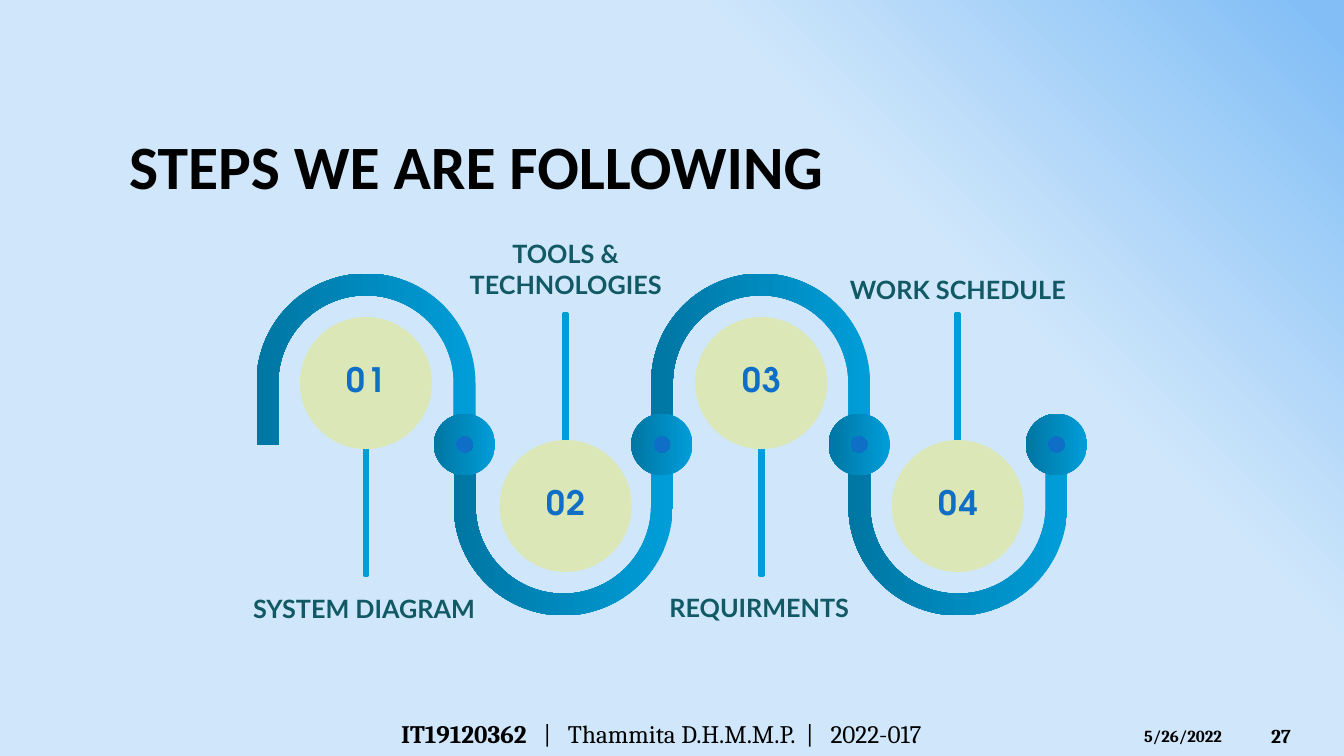
from math import cos, pi, sin

from pptx import Presentation
from pptx.dml.color import RGBColor
from pptx.enum.shapes import MSO_SHAPE as Shape
from pptx.enum.text import MSO_ANCHOR as Anchor, PP_ALIGN as Align
from pptx.util import Inches, Pt

COLORS = {
    "sky": "D0E7FB",
    "sky_deep": "83BFF6",
    "black": "000000",
    "pipe_light": "009DD9",
    "pipe_dark": "0076A3",
    "blue": "0F6FC6",
    "badge": "DBE7B6",
    "label": "115964",
}

# Geometry of the winding path
MIDDLE = 4.41
FIRST_CENTRE = 3.63
PITCH = 1.957
LEG = 0.61
OUTER, INNER = 1.086, 0.87
BADGE_SIZE = 1.31

# Badge centre, number, label, label centre, label top, label height
STEPS = [
    (3.63, "01", "SYSTEM DIAGRAM", 3.61, 5.84, 0.38),
    (5.61, "02", "TOOLS & TECHNOLOGIES", 5.61, 2.32, 0.66),
    (7.55, "03", "REQUIRMENTS", 7.53, 5.83, 0.38),
    (9.5, "04", "WORK SCHEDULE", 9.5, 2.67, 0.38),
]


def color(name):
    return RGBColor.from_string(COLORS[name])


def set_gradient(fill, stops, angle):
    fill.gradient()
    fill.gradient_angle = angle
    for stop, (position, name) in zip(fill.gradient_stops, stops):
        stop.position = position
        stop.color.rgb = color(name)


def paint(shape, fill_name=None):
    """Fill a shape with one colour, or with the pipe gradient."""
    shape.shadow.inherit = False
    shape.line.fill.background()
    if fill_name:
        shape.fill.solid()
        shape.fill.fore_color.rgb = color(fill_name)
    else:
        set_gradient(shape.fill, [(0, "pipe_light"), (1, "pipe_dark")], 180)


def add_run(paragraph, text, color_name, **formats):
    run = paragraph.add_run()
    run.text = text
    for name, value in formats.items():
        setattr(run.font, name, value)
    run.font.color.rgb = color(color_name)
    return run


def add_text(slide, box, runs, color_name, align=Align.LEFT, anchor=Anchor.TOP, **formats):
    """Add a text box; runs is a list of (text, bold)."""
    frame = slide.shapes.add_textbox(*map(Inches, box)).text_frame
    frame.word_wrap = True
    frame.vertical_anchor = anchor
    paragraph = frame.paragraphs[0]
    paragraph.alignment = align
    return [add_run(paragraph, text, color_name, bold=bold, **formats)
            for text, bold in runs]


def add_round(slide, kind, x, y, size, fill_name=None):
    shape = slide.shapes.add_shape(
        kind, Inches(x - size / 2), Inches(y - size / 2), Inches(size), Inches(size))
    paint(shape, fill_name)
    return shape


def add_arch(slide, x, side):
    """Draw a U-shaped pipe; side is -1 when it bends up, 1 when it bends down."""
    bend_y = MIDDLE + side * LEG

    def arc(radius):
        angles = [pi * step / 60 for step in range(61)]
        return [(x - radius * cos(a), bend_y + side * radius * sin(a)) for a in angles]

    outline = [(x - OUTER, MIDDLE), *arc(OUTER), (x + OUTER, MIDDLE),
               (x + INNER, MIDDLE), *reversed(arc(INNER)), (x - INNER, MIDDLE)]
    points = [(Inches(px), Inches(py)) for px, py in outline]
    builder = slide.shapes.build_freeform(*points[0])
    builder.add_line_segments(points[1:], close=True)
    paint(builder.convert_to_shape())


def add_stem(slide, x, side):
    """Draw the bar that leads from a badge centre to its label."""
    width, length = 0.04, 1.91
    start = MIDDLE + side * LEG
    top = start if side < 0 else start - length
    stem = slide.shapes.add_shape(
        Shape.RECTANGLE, Inches(x - width / 2), Inches(top), Inches(width), Inches(length))
    paint(stem, "pipe_light")
    stem.line.color.rgb = color("pipe_light")
    stem.line.width = Pt(2)


def add_joint(slide, x):
    add_round(slide, Shape.OVAL, x, MIDDLE, 0.39, "blue")
    ring = add_round(slide, Shape.DONUT, x, MIDDLE, 0.61)
    ring.adjustments[0] = 0.35


def add_badge(slide, x, side, number):
    y = MIDDLE + side * LEG
    add_round(slide, Shape.OVAL, x, y, BADGE_SIZE, "badge")
    runs = add_text(slide, (x - 0.42, y - 0.29, 0.85, 0.59), [(number, True)], "blue",
                    Align.CENTER, size=Pt(24), name="TeX Gyre Adventor")
    for run in runs:
        run.font._element.set("spc", "100")


def add_title(slide, text):
    title = slide.shapes.title
    title.left, title.top, title.width, title.height = map(Inches, (1.18, 0.83, 11.33, 1.61))
    title.text_frame.vertical_anchor = Anchor.MIDDLE
    paragraph = title.text_frame.paragraphs[0]
    paragraph.alignment = Align.LEFT
    add_run(paragraph, text, "black", size=Pt(44), name="Calibri", bold=True)


def add_footer(slide):
    footer = [
        ((12.51, 7.1, 0.74, 0.4), [("27", True)], 14, Anchor.MIDDLE),
        ((11.25, 7.15, 1.17, 0.3), [("5/26/2022", True)], 12, Anchor.TOP),
        ((3.88, 7.08, 7.45, 0.4),
         [("IT19120362", True), ("   |   Thammita D.H.M.M.P.  |   2022-017", False)],
         18, Anchor.MIDDLE),
    ]
    for box, runs, size, anchor in footer:
        add_text(slide, box, runs, "black", anchor=anchor, size=Pt(size), name="Cambria")


def main():
    presentation = Presentation()
    presentation.slide_width, presentation.slide_height = Inches(13.33), Inches(7.5)
    slide = presentation.slides.add_slide(presentation.slide_layouts[5])
    set_gradient(slide.background.fill, [(0.69, "sky"), (0.98, "sky_deep")], 45)

    add_title(slide, "STEPS WE ARE FOLLOWING")
    add_footer(slide)

    # Steps alternate between bending up and bending down
    sides = [-1, 1, -1, 1]
    centres = [FIRST_CENTRE + PITCH * index for index in range(len(STEPS))]

    # Stems, then the path and its joints
    for step, side in zip(STEPS, sides):
        add_stem(slide, step[0], side)
    for x, side in zip(centres, sides):
        add_arch(slide, x, side)
    for x in centres:
        add_joint(slide, x + PITCH / 2)

    # Numbered badges and labels
    for (x, number, label, label_x, top, height), side in zip(STEPS, sides):
        add_badge(slide, x, side, number)
        add_text(slide, (label_x - 1.275, top, 2.55, height), [(label, True)], "label",
                 Align.CENTER, size=Pt(18), name="Lato")

    presentation.save("out.pptx")


if __name__ == "__main__":
    main()
